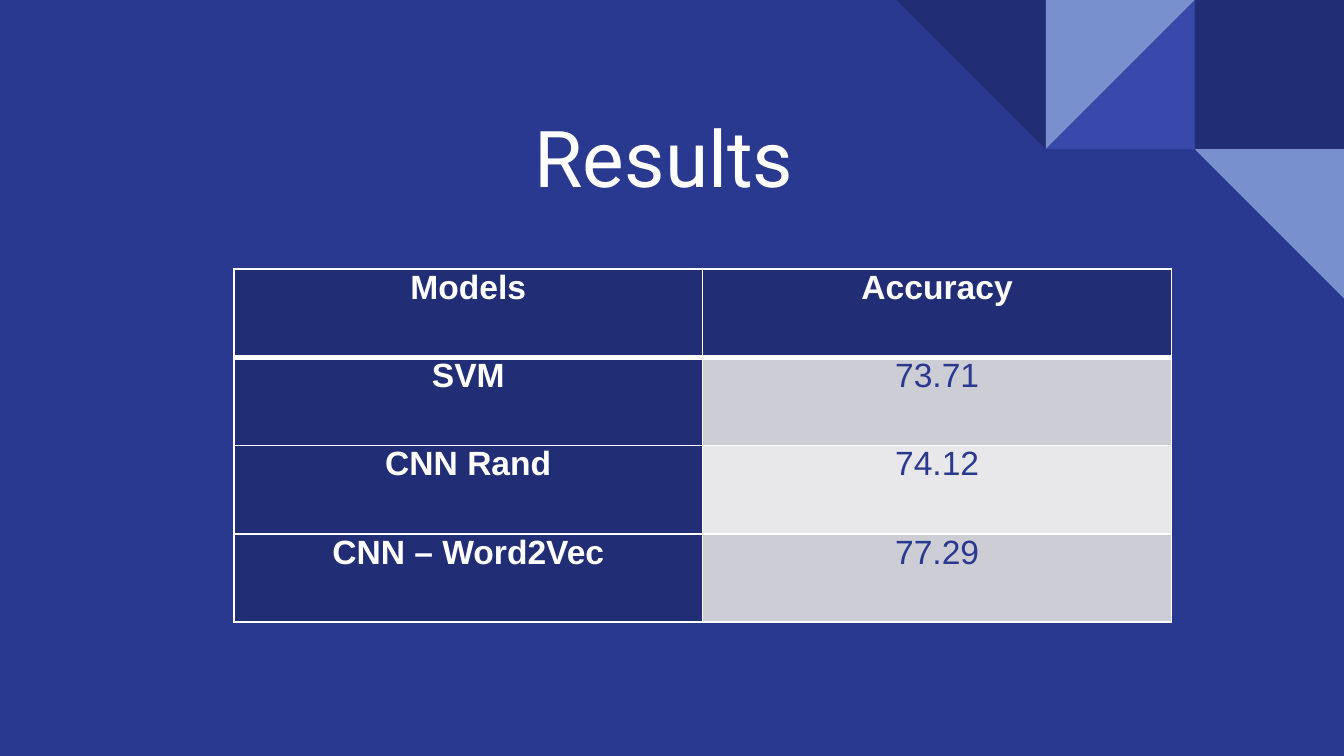
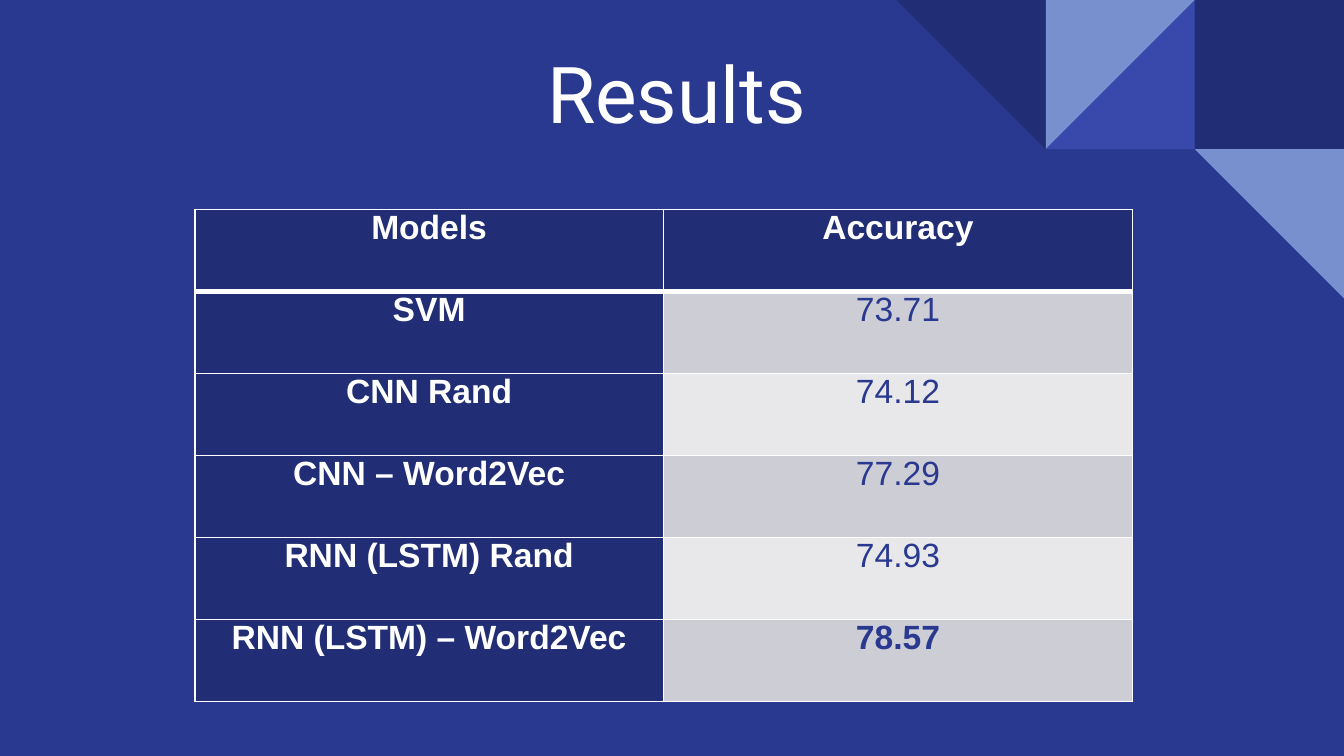
"""Build two result slides, each with a title and a table of model accuracies."""
from lxml.etree import SubElement
from pptx import Presentation
from pptx.dml.color import RGBColor
from pptx.enum.shapes import MSO_SHAPE
from pptx.enum.text import MSO_ANCHOR, MSO_AUTO_SIZE, PP_ALIGN
from pptx.oxml.ns import qn
from pptx.util import Cm, Pt

BACKGROUND, NAVY, INDIGO, SKY = "2A3990", "212D74", "3949AB", "7890CD"
WHITE, BAND_DARK, BAND_LIGHT = "FFFFFF", "CDCDD6", "E8E8EB"
SLIDE_WIDTH, SLIDE_HEIGHT = 25.4, 14.29
TILE = 2.82
COLUMN_WIDTH = 8.86

TILES = [
    (1, 0, MSO_SHAPE.RECTANGLE, 0, NAVY),
    (2, 0, MSO_SHAPE.RIGHT_TRIANGLE, 270, INDIGO),
    (2, 0, MSO_SHAPE.RIGHT_TRIANGLE, 90, SKY),
    (3, 0, MSO_SHAPE.RIGHT_TRIANGLE, 180, NAVY),
    (1, 1, MSO_SHAPE.RIGHT_TRIANGLE, 180, SKY),
]
HEADER = ("Models", "Accuracy")
BASE_ROWS = [("SVM", "73.71"), ("CNN Rand", "74.12"), ("CNN – Word2Vec", "77.29")]
RNN_ROWS = [("RNN (LSTM) Rand", "74.93"), ("RNN (LSTM) – Word2Vec", "78.57")]
BEST = "78.57"
PAGES = [
    {"title": (2.95, 1.78, 19.2, 2.34), "table": (4.42, 5.08), "row": 1.67,
     "rows": [HEADER] + BASE_ROWS},
    {"title": (1.37, 0.58, 22.83, 2.34), "table": (3.68, 3.96), "row": 1.55,
     "rows": [HEADER] + BASE_ROWS + RNN_ROWS},
]


def color(value):
    return RGBColor.from_string(value)


def add_border(cell, side, width):
    line = SubElement(cell._tc.get_or_add_tcPr(), qn(f"a:ln{side}"), w=str(Pt(width)))
    SubElement(SubElement(line, qn("a:solidFill")), qn("a:srgbClr"), val=WHITE)


deck = Presentation()
deck.slide_width, deck.slide_height = Cm(SLIDE_WIDTH), Cm(SLIDE_HEIGHT)
backdrop = deck.slide_master.background.fill
backdrop.solid()
backdrop.fore_color.rgb = color(BACKGROUND)

for content in PAGES:
    page = deck.slides.add_slide(deck.slide_layouts[5])

    for from_right, row, kind, rotation, fill in TILES:
        tile = page.shapes.add_shape(kind, Cm(SLIDE_WIDTH - from_right * TILE),
                                     Cm(row * TILE), Cm(TILE), Cm(TILE))
        tile.rotation = rotation
        tile.shadow.inherit = False
        tile.fill.solid()
        tile.fill.fore_color.rgb = color(fill)
        tile.line.fill.background()

    title = page.shapes.title
    page.shapes._spTree.append(title._element)
    title.left, title.top, title.width, title.height = map(Cm, content["title"])
    frame = title.text_frame
    frame.text = "Results"
    frame.auto_size = MSO_AUTO_SIZE.NONE
    frame.vertical_anchor = MSO_ANCHOR.MIDDLE
    frame.margin_left = frame.margin_right = Cm(0.25)
    frame.margin_top = frame.margin_bottom = Cm(0.25)
    heading = frame.paragraphs[0]
    heading.alignment = PP_ALIGN.CENTER
    heading.font.name, heading.font.size = "Roboto", Pt(42)
    heading.font.color.rgb = color(WHITE)

    rows = content["rows"]
    left, top = content["table"]
    table = page.shapes.add_table(len(rows), 2, Cm(left), Cm(top), Cm(2 * COLUMN_WIDTH),
                                  Cm(len(rows) * content["row"])).table
    for row_index, row in enumerate(rows):
        table.rows[row_index].height = Cm(content["row"])
        for column_index, text in enumerate(row):
            cell = table.cell(row_index, column_index)
            is_label = row_index == 0 or column_index == 0
            for side in "LRTB":
                under_header = (row_index, side) in [(0, "B"), (1, "T")]
                add_border(cell, side, 3 if under_header else 1)
            cell.fill.solid()
            band = BAND_DARK if row_index % 2 else BAND_LIGHT
            cell.fill.fore_color.rgb = color(NAVY if is_label else band)
            cell.margin_left = cell.margin_right = Cm(0.18)
            cell.margin_top = cell.margin_bottom = 0
            cell.text = text
            para = cell.text_frame.paragraphs[0]
            para.alignment = PP_ALIGN.CENTER
            para.font.name, para.font.size = "Arial", Pt(18)
            para.font.bold = is_label or text == BEST
            para.font.color.rgb = color(WHITE if is_label else BACKGROUND)

deck.save("out.pptx")
